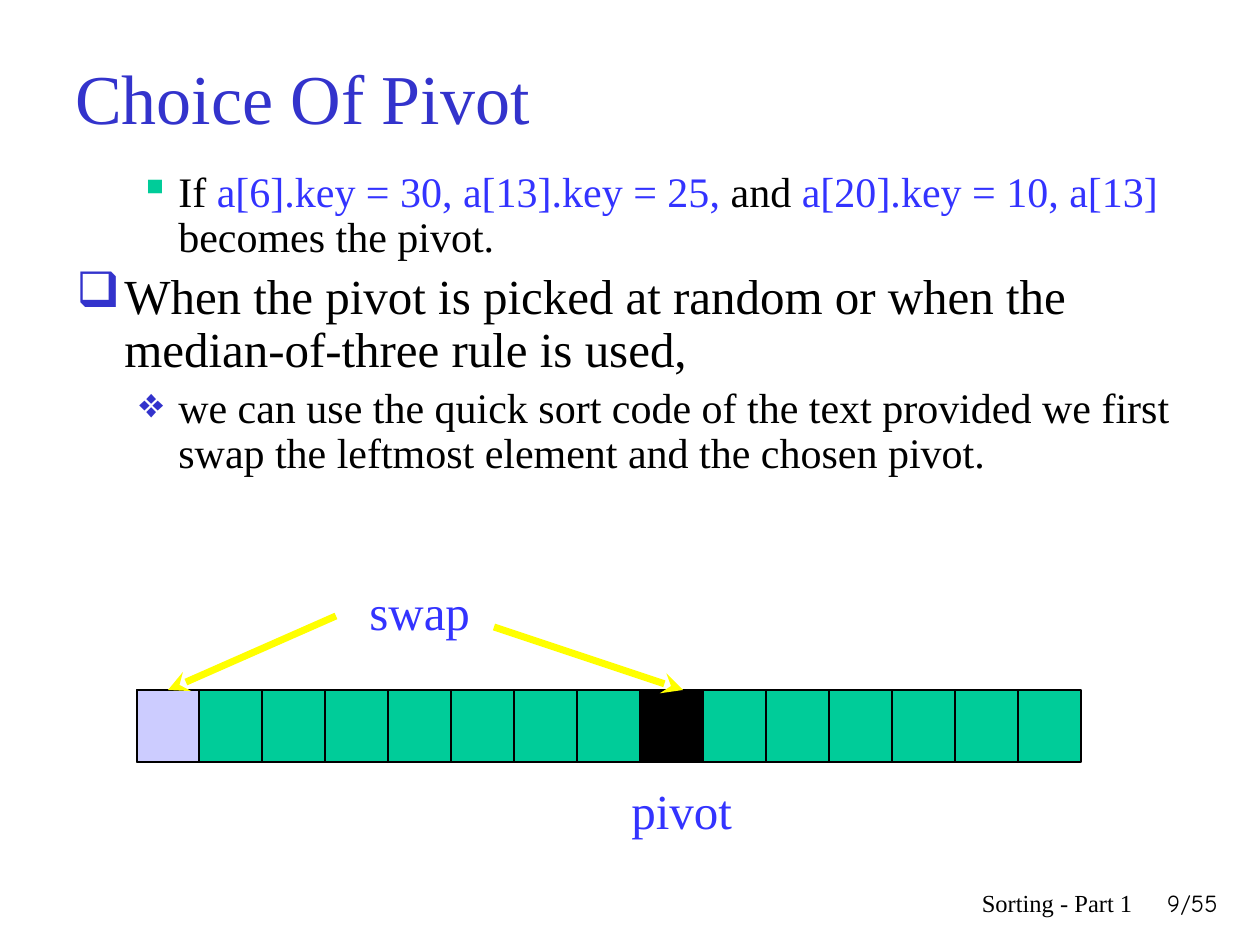
from lxml import etree
from pptx import Presentation
from pptx.dml.color import RGBColor
from pptx.enum.shapes import MSO_CONNECTOR, MSO_SHAPE
from pptx.enum.text import MSO_ANCHOR, PP_ALIGN
from pptx.oxml.ns import qn
from pptx.util import Pt

RECT, LINE = MSO_SHAPE.RECTANGLE, MSO_CONNECTOR.STRAIGHT
TOP, MIDDLE = MSO_ANCHOR.TOP, MSO_ANCHOR.MIDDLE
LEFT, RIGHT = PP_ALIGN.LEFT, PP_ALIGN.RIGHT

BLACK = RGBColor(0x00, 0x00, 0x00)
INDIGO = RGBColor(0x33, 0x33, 0xCC)
BLUE = RGBColor(0x33, 0x33, 0xFF)
GREEN = RGBColor(0x00, 0xCC, 0x99)
LAVENDER = RGBColor(0xCC, 0xCC, 0xFF)
YELLOW = RGBColor(0xFF, 0xFF, 0x00)
SERIF, COMIC = "Times New Roman", "Comic Neue"

# Content: box, runs and format of each single-line text
LABELS = [
    ((63, 38, 1134, 117), "Choice Of Pivot", dict(size=40, color=INDIGO, anchor=MIDDLE)),
    ((619, 774, 137, 72), "pivot", dict(size=28, color=BLUE, anchor=MIDDLE)),
    ((357, 575, 126, 72), "swap", dict(size=28, color=BLUE, anchor=MIDDLE)),
    ((1144, 882, 86, 63), "9/55", dict(size=14, font=COMIC, align=RIGHT)),
    ((746, 882, 399, 63), "Sorting - Part 1", dict(size=14, align=RIGHT)),
]
# Body: bullet, bullet colour, size, left margin, hanging indent, space before, runs
BODY_BOX = (64, 165, 1121, 388)
BODY = [
    ("▪", GREEN, 24, 102, 39, 5, [
        ("If ", BLACK), ("a[6].key = 30, a[13].key = 25,", BLUE), (" and ", BLACK),
        ("a[20].key = 10, a[13]", BLUE), (" becomes the pivot.", BLACK)]),
    ("❑", INDIGO, 28, 48, 48, 6, [
        ("When the pivot is picked at random or when the "
         "median-of-three rule is used, ", BLACK)]),
    ("❖", INDIGO, 24, 102, 39, 5, [
        ("we can use the quick sort code of the text provided we first "
         "swap the leftmost element and the chosen pivot.", BLACK)]),
]
# Array of cells
ARRAY_X, ARRAY_Y, CELL_W, CELL_H = 137, 690, 63, 72
CELLS, PIVOT = 15, 8
SWAP_ARROWS = [((336, 616), (168, 690)), ((494, 627), (683, 690))]

SCALE = 914400 / 126


def px(*values):
    return [round(v * SCALE) for v in values]


prs = Presentation()
prs.slide_width, prs.slide_height = px(1260, 945)
s = prs.slides.add_slide(prs.slide_layouts[6])


def add_runs(p, runs, size=24, color=BLACK, font=SERIF, align=LEFT):
    p.alignment = align
    for text, run_color in [(runs, color)] if isinstance(runs, str) else runs:
        r = p.add_run()
        r.text = text
        r.font.size, r.font.name = Pt(size), font
        r.font.color.rgb = run_color


def add_box(box, anchor=TOP):
    tf = s.shapes.add_textbox(*px(*box)).text_frame
    tf.word_wrap, tf.vertical_anchor = True, anchor
    return tf


def set_bullet(p, char, color, margin, hang):
    pPr = p._p.get_or_add_pPr()
    margin, hang = px(margin, hang)
    pPr.set("marL", str(margin))
    pPr.set("indent", str(-hang))
    clr = etree.SubElement(pPr, qn("a:buClr"))
    etree.SubElement(clr, qn("a:srgbClr"), val=str(color))
    etree.SubElement(pPr, qn("a:buChar"), char=char)


def add_rect(x, y, w, h, fill):
    sp = s.shapes.add_shape(RECT, *px(x, y, w, h))
    sp.shadow.inherit = False
    sp.fill.solid()
    sp.fill.fore_color.rgb = fill
    sp.line.color.rgb, sp.line.width = BLACK, Pt(1)


def add_line(start, end, color, width, head=None):
    line = s.shapes.add_connector(LINE, *px(*start, *end))
    line.line.color.rgb, line.line.width = color, Pt(width)
    if head:
        etree.SubElement(line.line._get_or_add_ln(), qn("a:tailEnd"), type=head)
    etree.SubElement(line._element.spPr, qn("a:effectLst"))


# Body text
tf = add_box(BODY_BOX)
for i, (char, bullet_color, size, margin, hang, before, runs) in enumerate(BODY):
    p = tf.add_paragraph() if i else tf.paragraphs[0]
    p.line_spacing, p.space_before = 0.9, Pt(before)
    set_bullet(p, char, bullet_color, margin, hang)
    add_runs(p, runs, size=size)

# Array: bar, dividers, then the two swapped cells
add_rect(ARRAY_X, ARRAY_Y, CELLS * CELL_W - 1, CELL_H, GREEN)
for i in range(1, CELLS):
    x = ARRAY_X + i * CELL_W - 1
    add_line((x, ARRAY_Y), (x, ARRAY_Y + CELL_H + 1), BLACK, 1)
for i, fill in [(PIVOT, BLACK), (0, LAVENDER)]:
    add_rect(ARRAY_X + i * CELL_W, ARRAY_Y, CELL_W - 1, CELL_H, fill)

# Swap arrows
for start, end in SWAP_ARROWS:
    add_line(start, end, YELLOW, 4, head="stealth")

# Title, labels and footer
for box, text, fmt in LABELS:
    tf = add_box(box, fmt.pop("anchor", TOP))
    add_runs(tf.paragraphs[0], text, **fmt)

prs.save("out.pptx")
